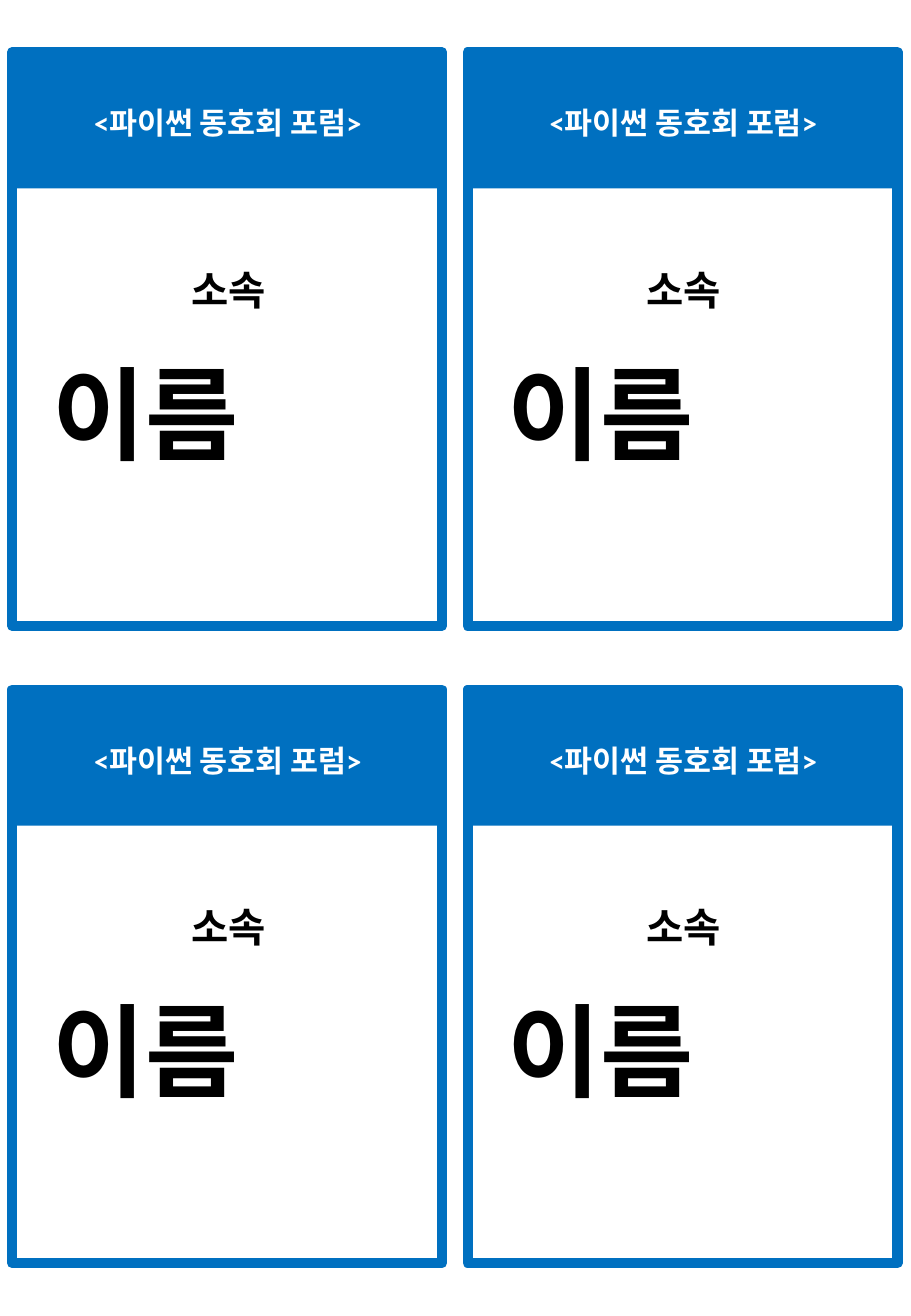
from itertools import product
from pptx import Presentation
from pptx.dml.color import RGBColor
from pptx.enum.shapes import MSO_SHAPE as Shape
from pptx.enum.text import MSO_AUTO_SIZE as Fit, PP_ALIGN as Align
from pptx.util import Inches, Pt

BLUE = RGBColor(0x00, 0x70, 0xC0)
WHITE = RGBColor(0xFF, 0xFF, 0xFF)
BLACK = RGBColor(0x00, 0x00, 0x00)
FONT = "Calibri"

COLS, ROWS = 2, 2
LEFT, TOP = 0.1, 0.43
STEP_X, STEP_Y = 3.75, 5.245
CARD_W, CARD_H, HEAD_H = 3.54, 4.72, 1.12

LABELS = [
    ("<파이썬 동호회 포럼>", (0.48, 0.38, 2.59, 0.4), 18, WHITE, Align.CENTER, False),
    ("소속", (1.34, 1.7, 0.88, 0.5), 24, BLACK, Align.CENTER, False),
    ("이름", (0.23, 2.41, 3.08, 1.11), 60, BLACK, Align.JUSTIFY, True),
]

deck = Presentation()
deck.slide_width, deck.slide_height = Inches(7.5), Inches(10.83)
slide = deck.slides.add_slide(deck.slide_layouts[6])


def add_rect(x, y, height, fill):
    rect = slide.shapes.add_shape(
        Shape.RECTANGLE, Inches(x), Inches(y), Inches(CARD_W), Inches(height))
    rect.shadow.inherit = False
    rect.fill.solid()
    rect.fill.fore_color.rgb = fill
    rect.line.fill.background()
    return rect


def add_label(x, y, text, place, size, color, align, wrap):
    left, top, width, height = place
    box = slide.shapes.add_textbox(
        Inches(x + left), Inches(y + top), Inches(width), Inches(height))
    frame = box.text_frame
    frame.text = text
    frame.word_wrap = wrap
    frame.auto_size = Fit.SHAPE_TO_FIT_TEXT
    para = frame.paragraphs[0]
    para.alignment = align
    font = para.runs[0].font
    font.name, font.size, font.bold = FONT, Pt(size), True
    font.color.rgb = color


for row, col in product(range(ROWS), range(COLS)):
    x, y = LEFT + col * STEP_X, TOP + row * STEP_Y
    card = add_rect(x, y, CARD_H, WHITE)
    card.line.color.rgb = BLUE
    card.line.width = Pt(6)
    add_rect(x, y, HEAD_H, BLUE)
    for label in LABELS:
        add_label(x, y, *label)

deck.save("out.pptx")
